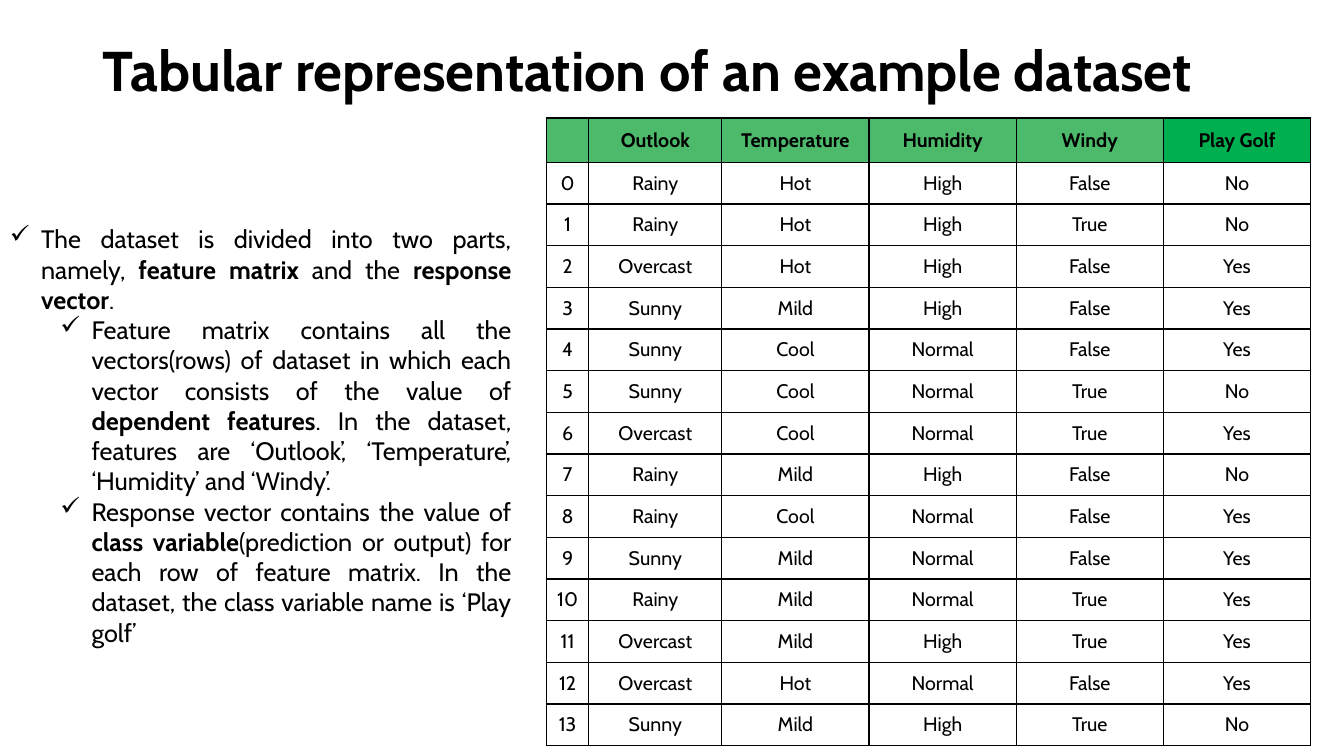
"""Build a slide that shows the golf dataset beside notes on its two parts."""
from lxml import etree
from pptx import Presentation
from pptx import util as u
from pptx.dml.color import RGBColor
from pptx.enum import text
from pptx.oxml import ns

Inches = u.Inches
FONT = "Cabin"
COLORS = {"ink": "000000", "paper": "FFFFFF", "feature": "4CB96B", "response": "00B050"}
HEADINGS = ["", "Outlook", "Temperature", "Humidity", "Windy", "Play Golf"]
OBSERVATIONS = """Rainy Hot High False No
Rainy Hot High True No
Overcast Hot High False Yes
Sunny Mild High False Yes
Sunny Cool Normal False Yes
Sunny Cool Normal True No
Overcast Cool Normal True Yes
Rainy Mild High False No
Rainy Cool Normal False Yes
Sunny Mild Normal False Yes
Rainy Mild Normal True Yes
Overcast Mild High True Yes
Overcast Hot Normal False Yes
Sunny Mild High True No"""
COLUMN_WIDTHS = [0.42, 1.32] + [1.46] * 4
NOTES = [
    (0, [("The dataset is divided into two parts, namely, ", False),
         ("feature matrix", True), (" and the ", False),
         ("response vector", True), (".", False)]),
    (1, [("Feature matrix contains all the vectors(rows) of dataset in which "
          "each vector consists of the value of ", False),
         ("dependent features", True),
         (". In the dataset, features are ‘Outlook’, ‘Temperature’, "
          "‘Humidity’ and ‘Windy’.", False)]),
    (1, [("Response vector contains the value of ", False),
         ("class variable", True),
         ("(prediction or output) for each row of feature matrix. In the "
          "dataset, the class variable name is ‘Play golf’", False)]),
]


def add_run(paragraph, words, size, bold=False):
    run = paragraph.add_run()
    run.text = words
    run.font.name = FONT
    run.font.size = u.Pt(size)
    run.font.bold = bold
    run.font.color.rgb = RGBColor.from_string(COLORS["ink"])


def add_text_frame(slide, left, top, width, height):
    frame = slide.shapes.add_textbox(*map(Inches, (left, top, width, height))).text_frame
    frame.word_wrap = True
    return frame


def add_title(slide, words):
    heading = add_text_frame(slide, 0.17, 0.3, 12.5, 1.25).paragraphs[0]
    heading.alignment = text.PP_ALIGN.CENTER
    add_run(heading, words, 40, True)


def add_check_mark(paragraph, level):
    properties = paragraph._p.get_or_add_pPr()
    properties.set("marL", str(Inches(0.31 + 0.5 * level)))
    properties.set("indent", str(Inches(-0.31)))
    etree.SubElement(properties, ns.qn("a:buChar")).set("char", "✓")


def add_notes(slide, notes):
    frame = add_text_frame(slide, 0, 2.17, 5.17, 4.42)
    for index, (level, runs) in enumerate(notes):
        note = frame.add_paragraph() if index else frame.paragraphs[0]
        note.level = level
        note.alignment = text.PP_ALIGN.JUSTIFY
        add_check_mark(note, level)
        for words, bold in runs:
            add_run(note, words, 18, bold)


def add_borders(cell):
    properties = cell._tc.get_or_add_tcPr()
    for side in ("lnL", "lnR", "lnT", "lnB"):
        border = etree.SubElement(properties, ns.qn(f"a:{side}"), w=str(u.Pt(1)))
        fill = etree.SubElement(border, ns.qn("a:solidFill"))
        etree.SubElement(fill, ns.qn("a:srgbClr"), val=COLORS["ink"])


def fill_cell(cell, words, color, margins, bold):
    add_borders(cell)
    cell.fill.solid()
    cell.fill.fore_color.rgb = RGBColor.from_string(COLORS[color])
    cell.vertical_anchor = text.MSO_ANCHOR.MIDDLE
    cell.margin_left = cell.margin_right = Inches(margins[0])
    cell.margin_top = cell.margin_bottom = Inches(margins[1])
    entry = cell.text_frame.paragraphs[0]
    entry.alignment = text.PP_ALIGN.CENTER
    if words:
        add_run(entry, words, 14, bold)


def add_dataset(slide, headings, observations):
    records = [[str(number), *line.split()]
               for number, line in enumerate(observations.splitlines())]
    frame = slide.shapes.add_table(len(records) + 1, len(headings), Inches(5.42),
                                   Inches(1.17), Inches(7.57), Inches(6.09))
    dataset = frame.table
    dataset.first_row = dataset.horz_banding = False
    for column, width in zip(dataset.columns, COLUMN_WIDTHS):
        column.width = Inches(width)
    for index, row in enumerate(dataset.rows):
        row.height = Inches(0.32 if index else 0.44)
    frame.height = Inches(6.09)
    for column, heading in enumerate(headings):
        color = "response" if heading == "Play Golf" else "feature"
        fill_cell(dataset.cell(0, column), heading, color, (0.05, 0.05), True)
        for row, record in enumerate(records, 1):
            fill_cell(dataset.cell(row, column), record[column], "paper", (0.06, 0.09), False)


def main():
    deck = Presentation()
    deck.slide_width, deck.slide_height = Inches(13.33), Inches(7.5)
    slide = deck.slides.add_slide(deck.slide_layouts[6])
    add_title(slide, "Tabular representation of an example dataset")
    add_dataset(slide, HEADINGS, OBSERVATIONS)
    add_notes(slide, NOTES)
    deck.save("out.pptx")


if __name__ == "__main__":
    main()
